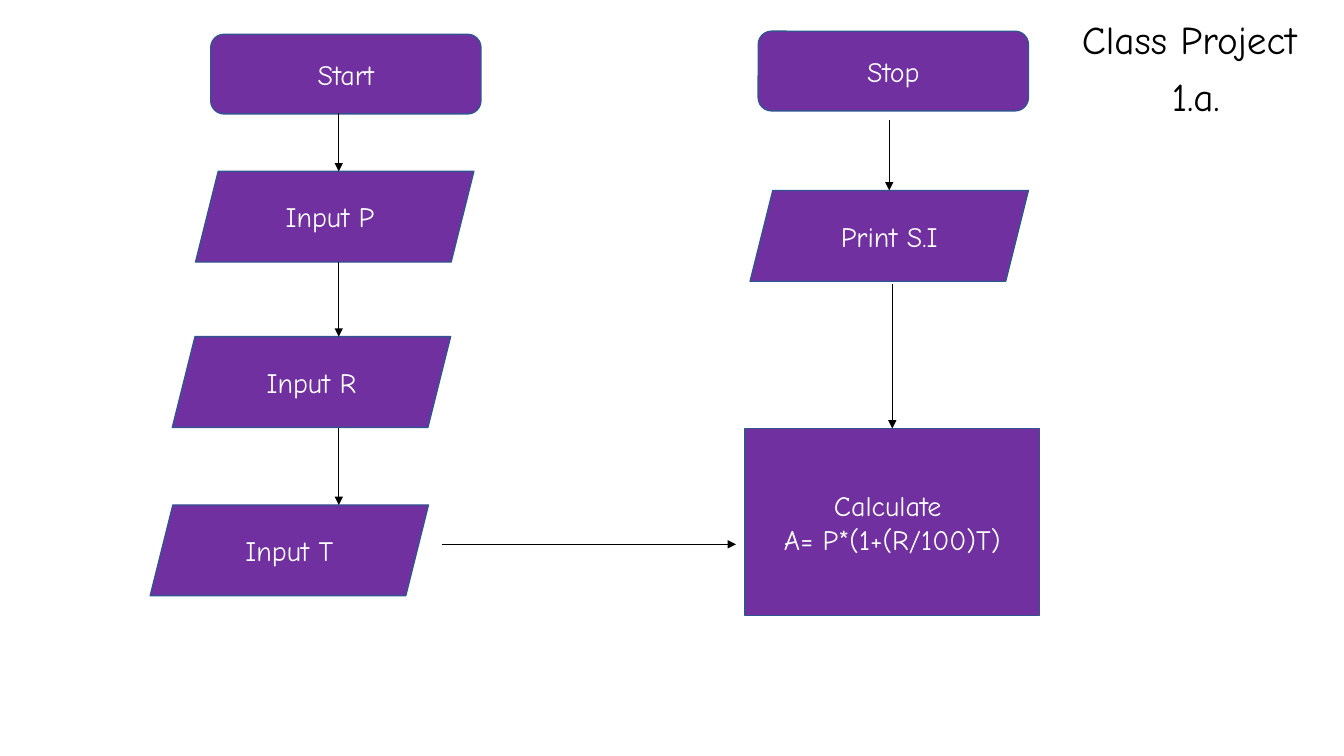
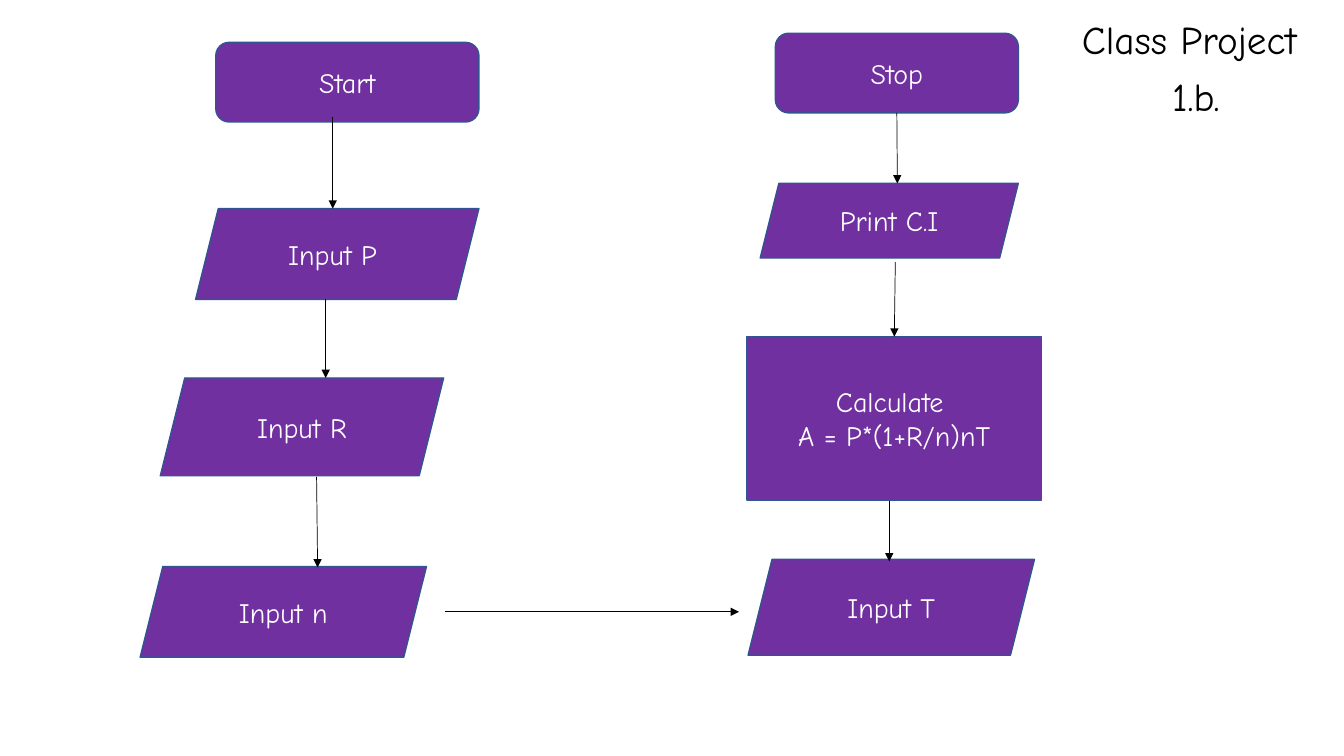
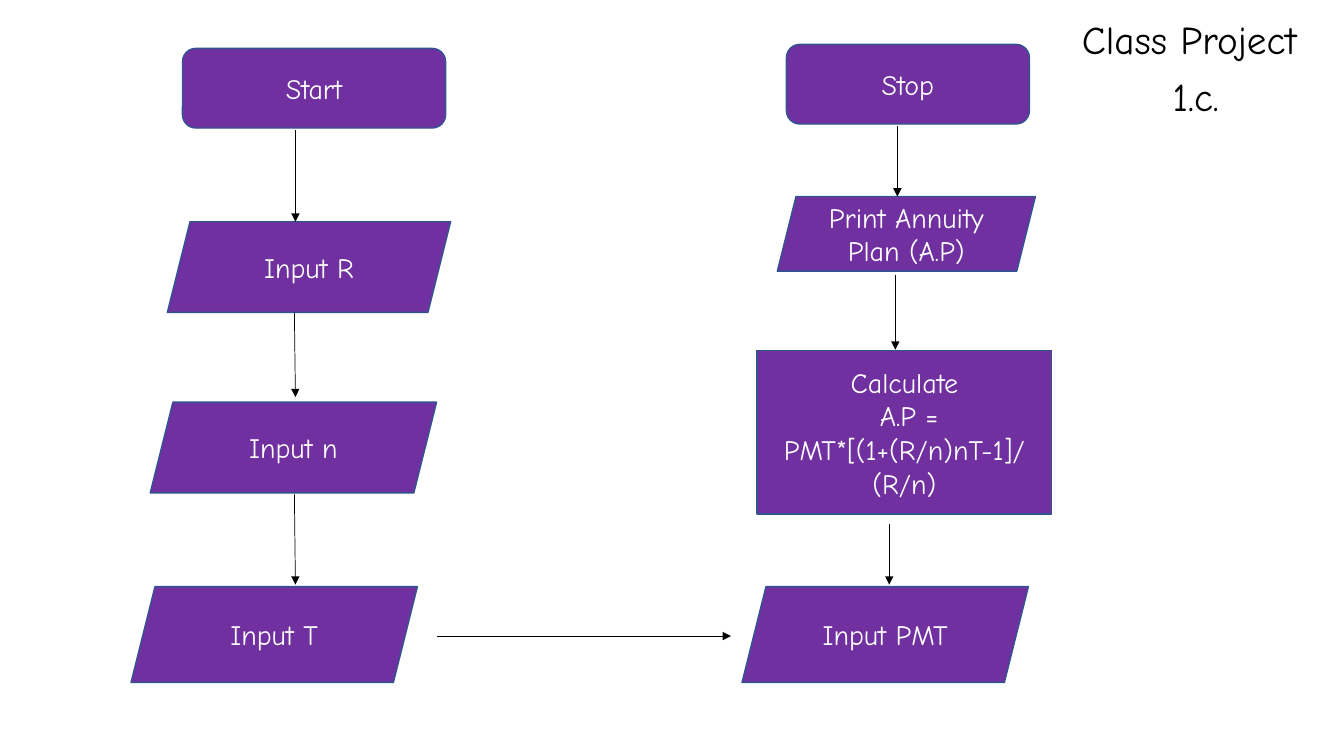
from dataclasses import dataclass

from lxml.etree import SubElement
from pptx import Presentation
from pptx.dml.color import RGBColor
from pptx.enum.shapes import MSO_CONNECTOR, MSO_SHAPE
from pptx.enum.text import MSO_ANCHOR, PP_ALIGN
from pptx.oxml.ns import qn
from pptx.util import Inches, Pt


@dataclass(frozen=True)
class Theme:
    font: str = "Comic Neue"
    fill: RGBColor = RGBColor(0x70, 0x30, 0xA0)
    outline: RGBColor = RGBColor(0x32, 0x54, 0x91)
    light: RGBColor = RGBColor(0xFF, 0xFF, 0xFF)
    dark: RGBColor = RGBColor(0, 0, 0)
    step_size: int = 20
    title_size: int = 28
    outline_width: float = 1
    arrow_width: float = 0.5


THEME = Theme()
BOTTOM, TOP = 2, 0  # connection sites of a rectangle


@dataclass(frozen=True)
class Step:
    text: str
    kind: MSO_SHAPE
    left: float
    top: float
    width: float
    height: float


@dataclass(frozen=True)
class Arrow:
    start: tuple
    end: tuple
    source: str = ""  # step whose bottom middle it leaves
    target: str = ""  # step whose top middle it reaches


# Kinds of step
def terminal(text, left, top, width):
    return Step(text, MSO_SHAPE.ROUNDED_RECTANGLE, left, top, width, 0.79)


def data(text, left, top, width, height=0.9):
    return Step(text, MSO_SHAPE.PARALLELOGRAM, left, top, width, height)


def process(text, left, top, height):
    return Step(text, MSO_SHAPE.RECTANGLE, left, top, 2.92, height)


# Kinds of arrow
def down(x, top, bottom, drift=0, **joins):
    return Arrow((x, top), (x + drift, bottom), **joins)


def across(left, y, length=2.92):
    return Arrow((left, y), (left + length, y))


# Drawing
def write(text_frame, text, size, color):
    text_frame.word_wrap = True
    text_frame.text = text
    for paragraph in text_frame.paragraphs:
        paragraph.alignment = PP_ALIGN.CENTER
        for run in paragraph.runs:
            run.font.name = THEME.font
            run.font.size = Pt(size)
            run.font.color.rgb = color


def add_title(slide, number):
    box = slide.shapes.add_textbox(
        Inches(10.52), Inches(0.16), Inches(2.68), Inches(1.02))
    write(box.text_frame, f"Class Project \n{number}", THEME.title_size, THEME.dark)
    for paragraph in box.text_frame.paragraphs:
        paragraph.line_spacing = 0.9
        paragraph.space_before = Pt(10)


def add_step(slide, step):
    shape = slide.shapes.add_shape(
        step.kind, Inches(step.left), Inches(step.top),
        Inches(step.width), Inches(step.height))
    shape.shadow.inherit = False
    shape.fill.solid()
    shape.fill.fore_color.rgb = THEME.fill
    shape.line.color.rgb = THEME.outline
    shape.line.width = Pt(THEME.outline_width)
    shape.text_frame.vertical_anchor = MSO_ANCHOR.MIDDLE
    write(shape.text_frame, step.text, THEME.step_size, THEME.light)
    return shape


def add_arrow(slide, arrow, shapes):
    points = [Inches(value) for value in arrow.start + arrow.end]
    connector = slide.shapes.add_connector(MSO_CONNECTOR.STRAIGHT, *points)
    connector.line.color.rgb = THEME.dark
    connector.line.width = Pt(THEME.arrow_width)
    SubElement(connector.line._get_or_add_ln(), qn("a:tailEnd"), type="triangle")
    SubElement(connector._element.spPr, qn("a:effectLst"))
    if arrow.source:
        connector.begin_connect(shapes[arrow.source], BOTTOM)
    if arrow.target:
        connector.end_connect(shapes[arrow.target], TOP)


def add_flowchart(presentation, number, steps, arrows):
    slide = presentation.slides.add_slide(presentation.slide_layouts[6])
    shapes = {name: add_step(slide, step) for name, step in steps.items()}
    for arrow in arrows:
        add_arrow(slide, arrow, shapes)
    add_title(slide, number)


# Content: left column downwards, then right column downwards
SIMPLE_INTEREST = (
    "1.a.",
    {
        "start": terminal("Start", 2.09, 0.34, 2.68),
        "principal": data("Input P ", 1.94, 1.7, 2.76),
        "rate": data("Input R", 1.71, 3.34, 2.76),
        "time": data("Input T", 1.49, 5.01, 2.76),
        "stop": terminal("Stop", 7.52, 0.31, 2.68),
        "print": data("Print S.I", 7.44, 1.89, 2.76),
        "calculate": process("Calculate \nA= P*(1+(R/100)T)", 7.39, 4.25, 1.86),
    },
    [
        down(3.36, 1.12, 1.7),
        down(3.36, 2.6, 3.34),
        down(3.36, 4.25, 5.01),
        across(4.38, 5.4),
        down(8.82, 1.19, 1.89),
        down(8.85, 2.82, 4.25, target="calculate"),
    ],
)

COMPOUND_INTEREST = (
    "1.b.",
    {
        "start": terminal("Start", 2.14, 0.42, 2.61),
        "principal": data("Input P ", 1.94, 2.07, 2.81),
        "rate": data("Input R", 1.59, 3.75, 2.81, 0.97),
        "periods": data("Input n", 1.39, 5.62, 2.84),
        "stop": terminal("Stop", 7.69, 0.33, 2.41),
        "print": data("Print C.I", 7.54, 1.82, 2.56, 0.74),
        "calculate": process("Calculate \nA = P*(1+R/n)nT", 7.41, 3.34, 1.62),
        "time": data("Input T", 7.42, 5.55, 2.84, 0.95),
    },
    [
        down(3.3, 1.16, 2.07),
        down(3.23, 2.97, 3.75),
        down(3.14, 4.73, 5.63, drift=0.01),
        across(4.41, 6.07),
        down(8.9, 1.12, 1.82, source="stop"),
        down(8.88, 2.6, 3.34, target="calculate"),
        down(8.82, 4.97, 5.57),
    ],
)

ANNUITY_PLAN = (
    "1.c.",
    {
        "start": terminal("Start", 1.81, 0.48, 2.61),
        "rate": data("Input R", 1.66, 2.2, 2.81),
        "periods": data("Input n", 1.49, 3.99, 2.84),
        "time": data("Input T", 1.3, 5.82, 2.84, 0.95),
        "stop": terminal("Stop", 7.8, 0.44, 2.41),
        "print": data("Print Annuity Plan (A.P)", 7.71, 1.95, 2.56, 0.74),
        "calculate": process(
            "Calculate\n A.P = PMT*[(1+(R/n)nT-1]/\n(R/n)", 7.51, 3.48, 1.62),
        "payment": data("Input PMT", 7.36, 5.82, 2.84, 0.95),
    },
    [
        down(2.93, 1.29, 2.2),
        down(2.92, 3.1, 3.94, drift=0.01),
        down(2.92, 4.9, 5.8, drift=0.01),
        across(4.33, 6.31),
        down(8.9, 1.25, 1.95),
        down(8.88, 2.73, 3.47),
        down(8.82, 5.2, 5.8),
    ],
)


def main():
    presentation = Presentation()
    presentation.slide_width = Inches(13.33)
    presentation.slide_height = Inches(7.5)
    for flowchart in (SIMPLE_INTEREST, COMPOUND_INTEREST, ANNUITY_PLAN):
        add_flowchart(presentation, *flowchart)
    presentation.save("out.pptx")


if __name__ == "__main__":
    main()
